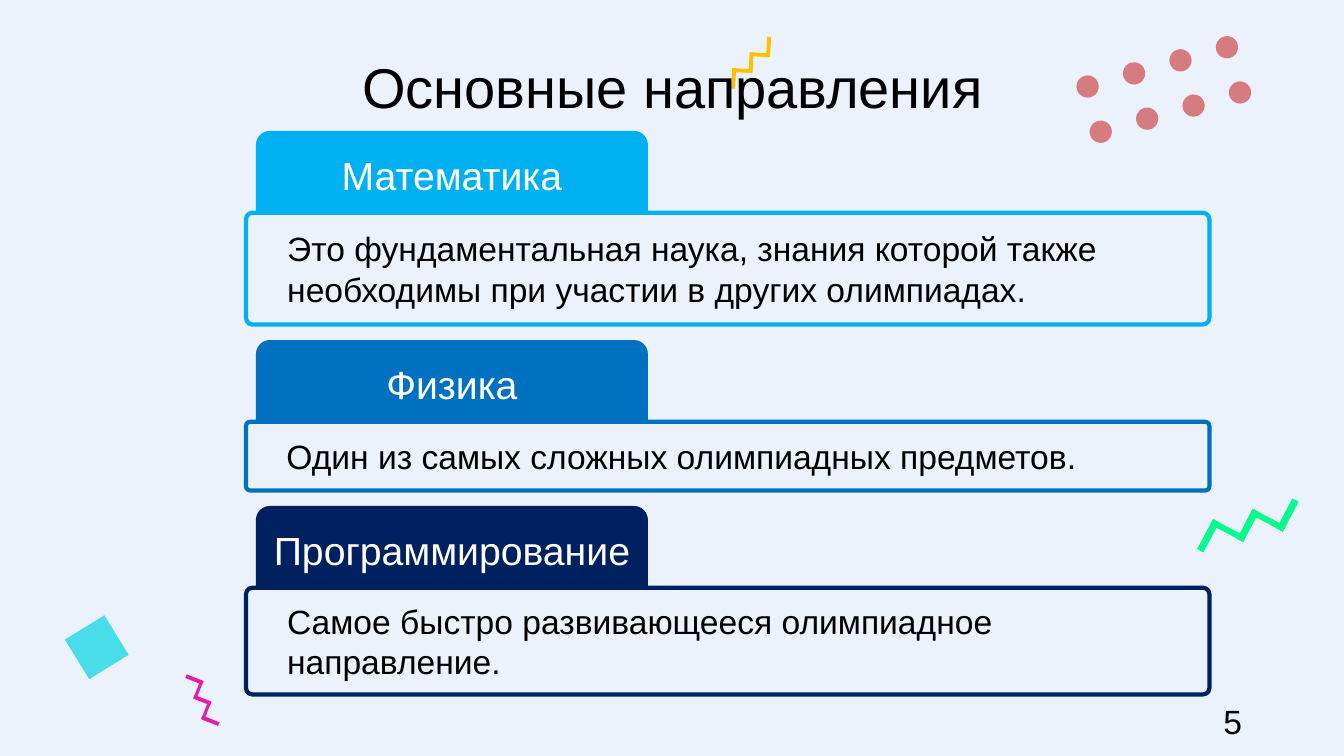
from lxml import etree
from pptx import Presentation
from pptx.dml.color import RGBColor
from pptx.enum.shapes import MSO_SHAPE
from pptx.enum.text import MSO_ANCHOR, PP_ALIGN
from pptx.oxml.ns import qn
from pptx.util import Cm, Pt

RECT, OVAL = MSO_SHAPE.RECTANGLE, MSO_SHAPE.OVAL
FRAME, TAB = MSO_SHAPE.ROUNDED_RECTANGLE, MSO_SHAPE.ROUND_2_SAME_RECTANGLE
LEFT, CENTER, RIGHT = PP_ALIGN.LEFT, PP_ALIGN.CENTER, PP_ALIGN.RIGHT
MIDDLE, BOTTOM = MSO_ANCHOR.MIDDLE, MSO_ANCHOR.BOTTOM

# Content: heading, description, colour, frame height in cm
TITLE = "Основные направления"
PAGE_NUMBER = "5"
SUBJECTS = [
    ("Математика",
     "Это фундаментальная наука, знания которой также необходимы при участии в других олимпиадах.",
     "00B0F0", 2.82),
    ("Физика", "Один из самых сложных олимпиадных предметов.", "0070C0", 1.73),
    ("Программирование", "Самое быстро развивающееся олимпиадное направление.",
     "002060", 2.69),
]

# Zigzags: colour, first centre, step, then (width, height, angle) of alternating strokes
YELLOW_ZIGZAG = ("FFC000", (18.49, 1.98), (0.22, -0.2),
                 [(0.51, 0.1, 272.9), (0.51, 0.1, 2.9)])
PINK_ZIGZAG = ("E51BB0", (4.9, 17.12), (0.1, 0.26),
               [(0.46, 0.1, 201.5), (0.48, 0.08, 291.5)])
GREEN_ZIGZAG = ("06FA8C", (30.45, 13.5), (0.5, -0.13),
                [(0.86, 0.18, 297.8), (0.94, 0.15, 27.8)])
STROKES = 5

# Layout in cm
FRAME_LEFT, FRAME_WIDTH = 6.2, 24.28
TAB_LEFT, TAB_WIDTH, TAB_HEIGHT = 6.45, 9.88, 2.11
FIRST_TAB_TOP, TAB_TO_FRAME, SUBJECT_GAP = 3.3, 2.06, 0.39
DOT_SIZE, DOT_COLUMNS, DOT_ROWS = 0.56, 4, 2
DOT_START, COLUMN_STEP, ROW_STEP = (27.41, 2.18), (1.17, -0.33), (0.33, 1.14)


def color(hex_code):
    return RGBColor.from_string(hex_code)


def add_filled(shapes, kind, box, fill=None):
    shape = shapes.add_shape(kind, *map(Cm, box))
    shape.shadow.inherit = False
    shape.line.fill.background()
    if fill:
        shape.fill.solid()
        shape.fill.fore_color.rgb = color(fill)
    else:
        shape.fill.background()
    return shape


def add_centered(shapes, kind, center, size, angle, fill):
    (x, y), (width, height) = center, size
    shape = add_filled(shapes, kind, (x - width / 2, y - height / 2, width, height), fill)
    shape.rotation = angle
    return shape


def write(shape, text, size, text_color, align, anchor=MIDDLE, side=0.25):
    frame = shape.text_frame
    frame.word_wrap = True
    frame.vertical_anchor = anchor
    frame.margin_left = frame.margin_right = Cm(side)
    frame.margin_top = frame.margin_bottom = Cm(0.13)
    paragraph = frame.paragraphs[0]
    paragraph.text = text
    paragraph.alignment = align
    paragraph.font.name = "Arial"
    paragraph.font.size = Pt(size)
    paragraph.font.color.rgb = color(text_color)
    return paragraph


def add_zigzag(slide, zigzag):
    fill, (x, y), (dx, dy), strokes = zigzag
    group = slide.shapes.add_group_shape()
    for i in range(STROKES):
        width, height, angle = strokes[i % 2]
        add_centered(group.shapes, RECT, (x + i * dx, y + i * dy),
                     (width, height), angle, fill)


def add_dots(slide):
    group = slide.shapes.add_group_shape()
    for row in range(DOT_ROWS):
        for column in range(DOT_COLUMNS):
            center = [start + column * across + row * down for start, across, down
                      in zip(DOT_START, COLUMN_STEP, ROW_STEP)]
            dot = add_centered(group.shapes, OVAL, center, (DOT_SIZE, DOT_SIZE),
                               343.9, "C00000")
            tint = dot.fill._xPr.find(qn("a:solidFill"))[0]
            etree.SubElement(tint, qn("a:alpha"), val="49000")


def add_subjects(slide):
    top = FIRST_TAB_TOP
    for heading, description, shade, height in SUBJECTS:
        frame_top = top + TAB_TO_FRAME
        frame = add_filled(slide.shapes, FRAME, (FRAME_LEFT, frame_top, FRAME_WIDTH, height))
        frame.adjustments[0] = 0.06
        frame.line.color.rgb = color(shade)
        frame.line.width = Pt(3)
        write(frame, description, 24, "000000", LEFT, side=0.99)

        tab = add_filled(slide.shapes, TAB, (TAB_LEFT, top, TAB_WIDTH, TAB_HEIGHT), shade)
        write(tab, heading, 28, "FFFFFF", CENTER)
        top = frame_top + height + SUBJECT_GAP


def main():
    deck = Presentation()
    deck.slide_width, deck.slide_height = Cm(33.87), Cm(19.05)
    slide = deck.slides.add_slide(deck.slide_layouts[6])
    slide.background.fill.solid()
    slide.background.fill.fore_color.rgb = color("ECF2FC")

    # Decoration behind the title
    add_zigzag(slide, YELLOW_ZIGZAG)
    add_centered(slide.shapes, RECT, (2.44, 16.31), (1.17, 1.17), 328.4, "48DDE8")

    # Title and subjects
    title = slide.shapes.add_textbox(Cm(7.98), Cm(1.37), Cm(17.93), Cm(1.8))
    write(title, TITLE, 40, "000000", CENTER, BOTTOM).line_spacing = 0.9
    add_subjects(slide)

    # Decoration at the edges
    add_zigzag(slide, PINK_ZIGZAG)
    add_zigzag(slide, GREEN_ZIGZAG)
    add_dots(slide)

    # Page number
    number = slide.shapes.add_textbox(Cm(23.93), Cm(17.65), Cm(7.62), Cm(1.02))
    write(number, PAGE_NUMBER, 24, "000000", RIGHT)

    deck.save("out.pptx")


if __name__ == "__main__":
    main()
